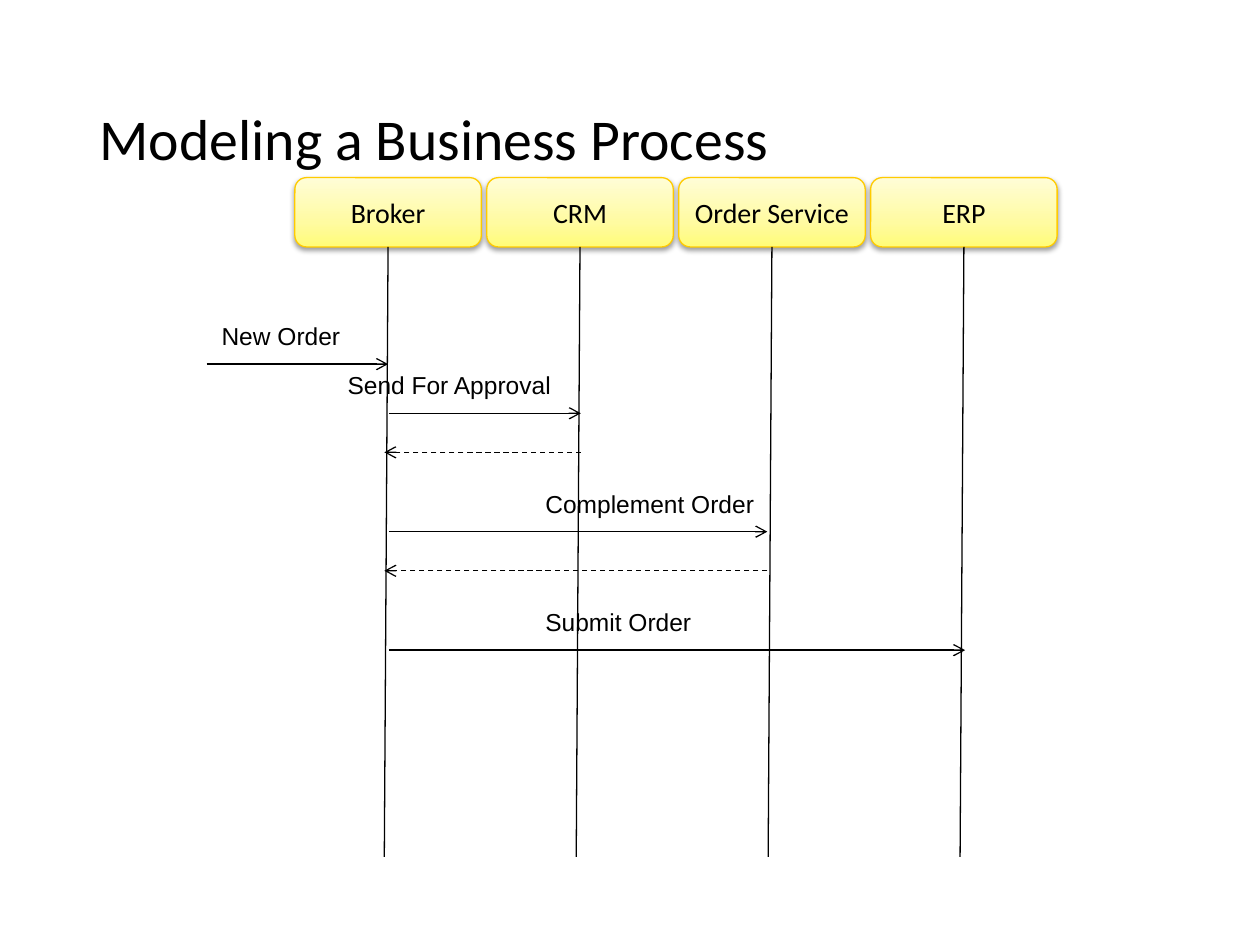
from copy import deepcopy

from lxml.etree import SubElement
from pptx import Presentation
from pptx.dml.color import RGBColor
from pptx.enum.dml import MSO_LINE
from pptx.enum.shapes import MSO_CONNECTOR, MSO_SHAPE
from pptx.enum.text import MSO_ANCHOR, MSO_AUTO_SIZE, PP_ALIGN
from pptx.oxml.ns import qn
from pptx.util import Inches, Pt

BLACK = RGBColor(0x00, 0x00, 0x00)
GOLD = RGBColor(0xFF, 0xCB, 0x00)
YELLOW_STOPS = [
    (0, RGBColor(0xFF, 0xFC, 0x78)),
    (0.35, RGBColor(0xFF, 0xFB, 0xA1)),
    (1, RGBColor(0xFF, 0xFD, 0xD7)),
]

PARTICIPANTS = ["Broker", "CRM", "Order Service", "ERP"]
BOX_WIDTH, BOX_HEIGHT = 1.48, 0.55
LIFELINE_BOTTOM, LIFELINE_SLANT = 6.8, 0.03

# Start x, end x, y, label, label left, label width
CALLS = [
    (1.64, 3.08, 2.89, "New Order", 1.66, 1.15),
    (3.09, 4.61, 3.28, "Send For Approval", 2.66, 1.82),
    (3.09, 6.09, 4.22, "Complement Order", 4.23, 1.87),
    (3.09, 7.66, 5.16, "Submit Order", 4.23, 1.37),
]
# Start x, end x, y
REPLIES = [(4.61, 3.05, 3.59), (6.09, 3.05, 4.53)]


def style_text(paragraph, size, font_name):
    paragraph.font.size = Pt(size)
    paragraph.font.name = font_name
    paragraph.font.color.rgb = BLACK


def add_line(slide, start_x, start_y, end_x, end_y):
    line = slide.shapes.add_connector(
        MSO_CONNECTOR.STRAIGHT,
        Inches(start_x), Inches(start_y), Inches(end_x), Inches(end_y))
    line.line.color.rgb = BLACK
    line.line.width = Pt(0.75)
    SubElement(line._element.spPr, qn("a:effectLst"))
    return line


def add_arrow(slide, start_x, end_x, y, dashed=False):
    arrow = add_line(slide, start_x, y, end_x, y)
    if dashed:
        arrow.line.dash_style = MSO_LINE.DASH
    SubElement(arrow.line._get_or_add_ln(), qn("a:tailEnd"), type="arrow")


def add_title(slide, left, top, width, height):
    title = slide.shapes.title
    title.left, title.top = Inches(left), Inches(top)
    title.width, title.height = Inches(width), Inches(height)
    title.text_frame.text = "Modeling a Business Process"
    title.text_frame.vertical_anchor = MSO_ANCHOR.MIDDLE
    paragraph = title.text_frame.paragraphs[0]
    paragraph.alignment = PP_ALIGN.LEFT
    paragraph.line_spacing = 0.9
    style_text(paragraph, 33, "Calibri")


def fill_with_gradient(shape):
    shape.fill.gradient()
    shape.fill.gradient_angle = 90
    stop_list = shape._element.spPr.find(".//" + qn("a:gsLst"))
    stop_list.append(deepcopy(stop_list[0]))
    for stop, (position, color) in zip(shape.fill.gradient_stops, YELLOW_STOPS):
        stop.position = position
        stop.color.rgb = color


def add_soft_shadow(shape):
    shape.shadow.inherit = False
    effects = shape._element.spPr.find(qn("a:effectLst"))
    shadow = SubElement(effects, qn("a:outerShdw"), blurRad=str(Pt(3.1)),
                        dist=str(Pt(1.6)), dir="5400000", rotWithShape="0")
    color = SubElement(shadow, qn("a:srgbClr"), val=str(BLACK))
    SubElement(color, qn("a:alpha"), val="38000")


def add_participant(slide, name, left, top):
    box = slide.shapes.add_shape(
        MSO_SHAPE.ROUNDED_RECTANGLE,
        Inches(left), Inches(top), Inches(BOX_WIDTH), Inches(BOX_HEIGHT))
    fill_with_gradient(box)
    box.line.color.rgb = GOLD
    box.line.width = Pt(0.75)
    add_soft_shadow(box)

    frame = box.text_frame
    frame.text = name
    frame.word_wrap = False
    frame.vertical_anchor = MSO_ANCHOR.MIDDLE
    frame.margin_left = frame.margin_right = 0
    frame.margin_top = frame.margin_bottom = 0
    frame.paragraphs[0].alignment = PP_ALIGN.CENTER
    style_text(frame.paragraphs[0], 16, "Calibri")

    # Lifeline hanging from the box
    center = left + BOX_WIDTH / 2
    lifeline = add_line(slide, center, top + BOX_HEIGHT,
                        center - LIFELINE_SLANT, LIFELINE_BOTTOM)
    lifeline.begin_connect(box, 2)


def add_participants(slide, left, top, width):
    pitch = (width - BOX_WIDTH) / (len(PARTICIPANTS) - 1)
    for index, name in enumerate(PARTICIPANTS):
        add_participant(slide, name, left + index * pitch, top)


def add_label(slide, text, left, top, width, height):
    label = slide.shapes.add_textbox(
        Inches(left), Inches(top), Inches(width), Inches(height))
    frame = label.text_frame
    frame.text = text
    frame.word_wrap = False
    frame.auto_size = MSO_AUTO_SIZE.SHAPE_TO_FIT_TEXT
    style_text(frame.paragraphs[0], 14, "Arial")


def add_messages(slide):
    for start_x, end_x, y, text, left, width in CALLS:
        add_arrow(slide, start_x, end_x, y)
        add_label(slide, text, left, y - 0.39, width, 0.34)
    for start_x, end_x, y in REPLIES:
        add_arrow(slide, start_x, end_x, y, dashed=True)


def main():
    presentation = Presentation()
    presentation.slide_width = Inches(10)
    presentation.slide_height = Inches(7.5)
    slide = presentation.slides.add_slide(presentation.slide_layouts[5])
    add_title(slide, 0.69, 0.4, 8.62, 1.45)
    add_participants(slide, 2.34, 1.41, 6.05)
    add_messages(slide)
    presentation.save("out.pptx")


if __name__ == "__main__":
    main()
